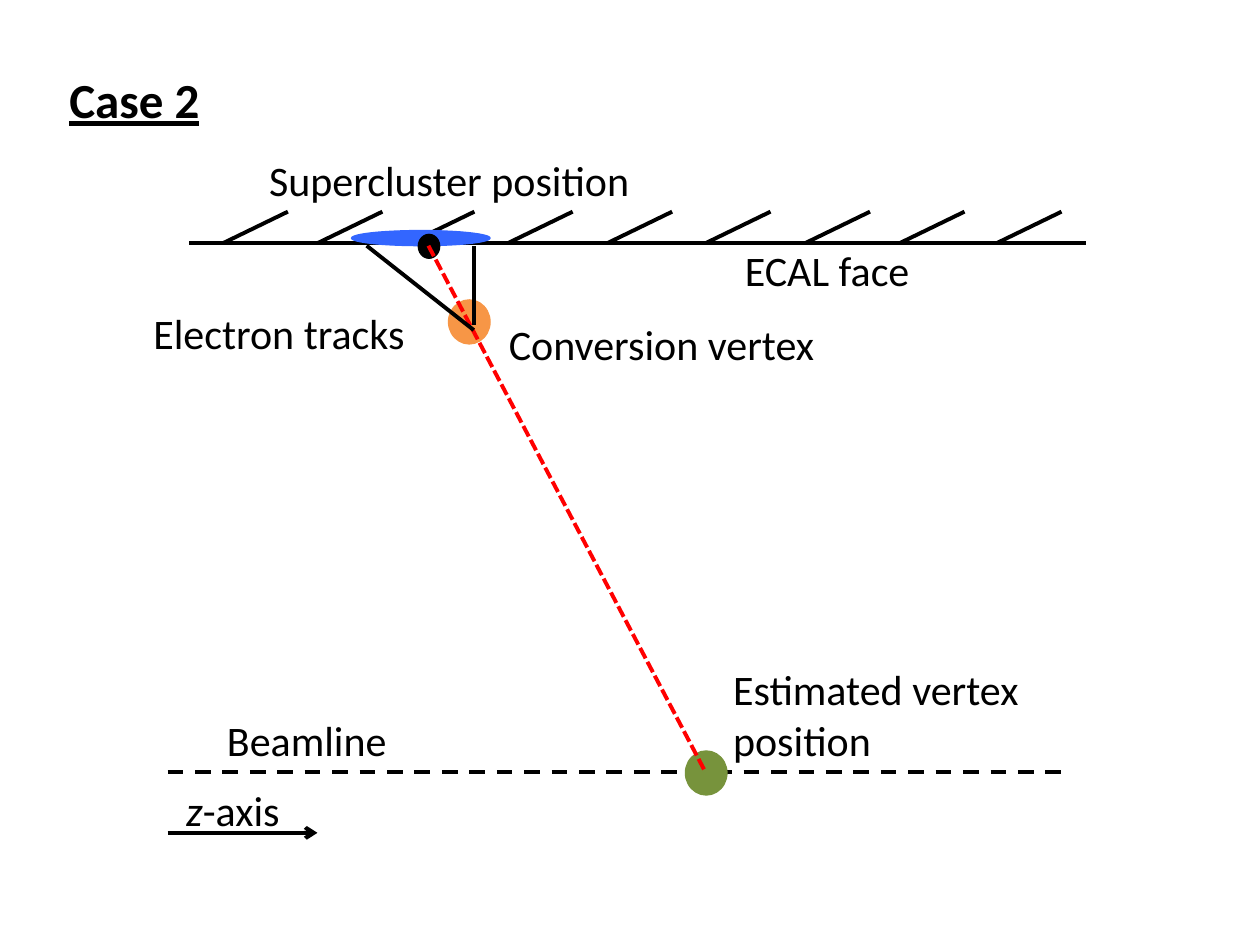
from lxml import etree
from pptx import Presentation
from pptx.dml.color import RGBColor
from pptx.enum.dml import MSO_LINE
from pptx.enum.shapes import MSO_CONNECTOR, MSO_SHAPE
from pptx.enum.text import MSO_ANCHOR, MSO_AUTO_SIZE, PP_ALIGN
from pptx.oxml.ns import qn
from pptx.util import Inches, Pt

LEFT, MID = PP_ALIGN.LEFT, PP_ALIGN.CENTER
DASH, DOTS = MSO_LINE.DASH, MSO_LINE.SQUARE_DOT
BLACK, RED = "000000", "FF0000"
FONT = "Calibri"

deck = Presentation()
deck.slide_width, deck.slide_height = Inches(10), Inches(7.5)
COL, ROW = deck.slide_width / 100, deck.slide_height / 75
slide = deck.slides.add_slide(deck.slide_layouts[5])
shapes = slide.shapes


def hue(code):
    """Turn a hex string into a colour."""
    return RGBColor.from_string(code)


def grid(*cells):
    """Turn column and row pairs into slide lengths."""
    return [round(n * (ROW if i % 2 else COL)) for i, n in enumerate(cells)]


# Line rows: start, end, colour, dash, arrow
face, beam = 19.3, 61.3
starts = [17.7, 25.2, 32.5, 40.3, 48.2, 56, 63.9, 71.4, 79.1]
back = [
    (13.3, beam, 84.5, beam, BLACK, DASH, False),
    (15, face, 86.2, face, BLACK, None, False),
]
back += [(x, face, x + 5.15, 16.8, BLACK, None, False) for x in starts]
front = [
    (34, 19.5, 56, beam, RED, DOTS, False),
    (37.6, 25.8, 37.6, 19.5, BLACK, None, False),
    (37.6, 26.2, 29.1, 19.5, BLACK, None, False),
    (13.3, 66.1, 25.2, 66.1, BLACK, None, True),
]
ovals = [
    (35.6, 23.8, 3.3, 3.5, "F79646"),
    (27.9, 18.3, 11, 1.2, "3366FF"),
    (54.4, 59.6, 3.3, 3.5, "77933C"),
    (33.2, 18.6, 1.7, 1.9, BLACK),
]

for layer, spots in ((back, ovals), (front, [])):
    for *ends, code, dash, arrow in layer:
        line = shapes.add_connector(MSO_CONNECTOR.STRAIGHT, *grid(*ends))
        line.line.color.rgb = hue(code)
        line.line.width = Pt(2.25)
        if dash:
            line.line.dash_style = dash
        props = line._element.spPr
        etree.SubElement(props, qn("a:effectLst"))
        if arrow:
            tip = etree.SubElement(props.find(qn("a:ln")), qn("a:tailEnd"))
            tip.set("type", "arrow")
    for *box, code in spots:
        dot = shapes.add_shape(MSO_SHAPE.OVAL, *grid(*box))
        dot.shadow.inherit = False
        dot.fill.solid()
        dot.fill.fore_color.rgb = hue(code)
        dot.line.color.rgb = hue(code)
        dot.line.width = Pt(0.75)

# Text rows: box, alignment, runs
title = (4.5, 5, 16.5, 5.7, LEFT, ["Case 2"])
labels = [
    (39.4, 24.8, 29, 5, LEFT, ["Conversion vertex"]),
    (19.2, 11.8, 32.9, 5, MID, ["Supercluster position"]),
    (56, 18.9, 19.3, 5, MID, ["ECAL face"]),
    (11, 23.9, 22.3, 5, MID, ["Electron tracks"]),
    (14.7, 56.2, 19.3, 5, MID, ["Beamline"]),
    (57.2, 52.2, 27, 9.1, LEFT, ["Estimated vertex position"]),
    (13.8, 61.8, 27, 5, LEFT, ["z", "-axis"]),
]
for *box, align, runs in [title] + labels:
    head = runs == title[-1]
    spot = grid(*box)
    note = shapes.title if head else shapes.add_textbox(*spot)
    note.left, note.top, note.width, note.height = spot
    frame = note.text_frame
    frame.word_wrap = True
    frame.auto_size = MSO_AUTO_SIZE.SHAPE_TO_FIT_TEXT
    frame.vertical_anchor = MSO_ANCHOR.TOP
    para = frame.paragraphs[0]
    para.alignment = align
    for text in runs:
        run = para.add_run()
        run.text = text
        font = run.font
        font.name, font.size = FONT, Pt(28 if head else 24)
        font.color.rgb = hue(BLACK)
        font.bold = font.underline = head
        font.italic = text == "z"

deck.save("out.pptx")
